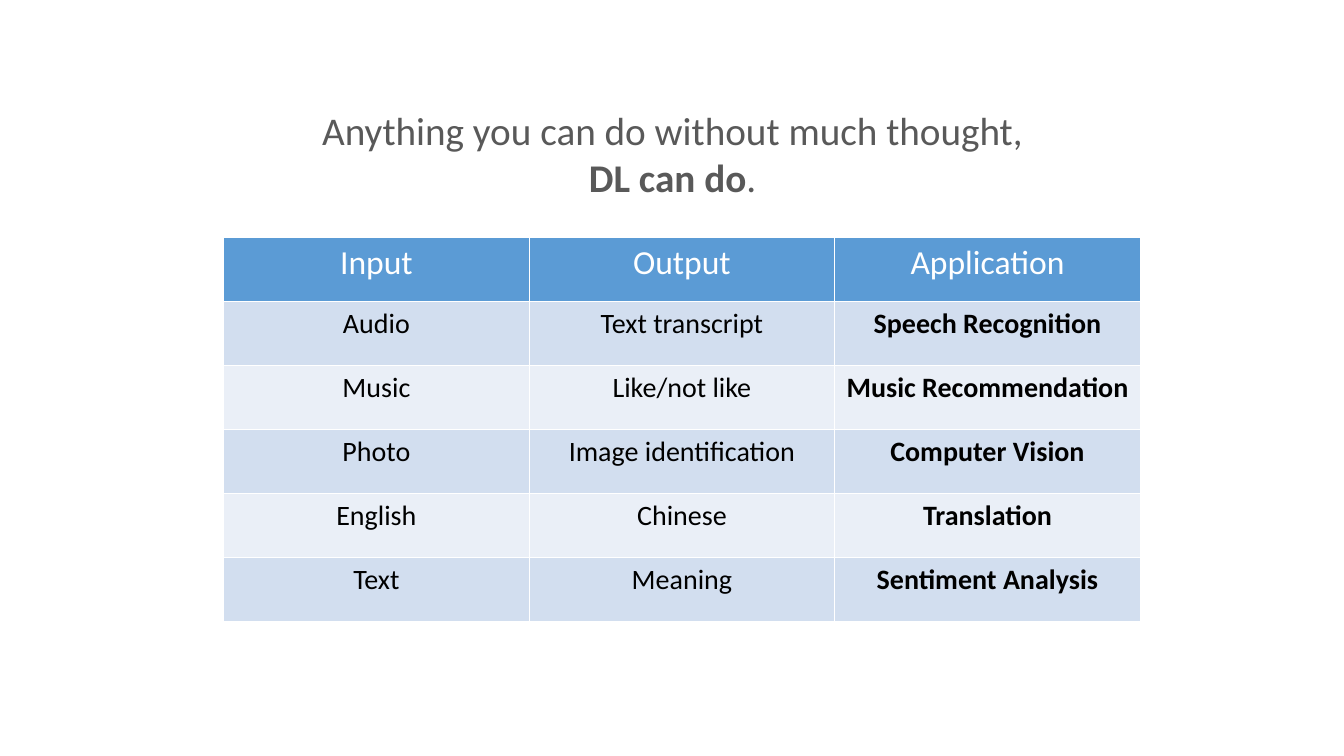
from lxml import etree
from pptx import Presentation
from pptx.dml.color import RGBColor
from pptx.enum.text import MSO_ANCHOR, MSO_AUTO_SIZE, PP_ALIGN
from pptx.oxml.ns import qn
from pptx.util import Pt

PX = 9525
TOP = MSO_ANCHOR.TOP
NO_FIT = MSO_AUTO_SIZE.NONE
MID = PP_ALIGN.CENTER
FONT = "Calibri"
WHITE, BLACK, GREY = "FFFFFF", "000000", "595959"
BLUE, BANDS = "5B9BD5", ("D2DEEF", "EAEFF7")

TITLE = [
    [("Anything you can do without much thought,", False)],
    [("DL can do", True), (".", False)],
]
ROWS = [
    ("Input", "Output", "Application"),
    ("Audio", "Text transcript", "Speech Recognition"),
    ("Music", "Like/not like", "Music Recommendation"),
    ("Photo", "Image identification", "Computer Vision"),
    ("English", "Chinese", "Translation"),
    ("Text", "Meaning", "Sentiment Analysis"),
]


def px(*nums):
    return [n * PX for n in nums]


def tint(code):
    return RGBColor.from_string(code)


def add_run(para, text, size, color, bold):
    para.alignment = MID
    run = para.add_run()
    run.text = text
    font = run.font
    font.name, font.size, font.bold = FONT, Pt(size), bold
    font.color.rgb = tint(color)


def edge(cell, color, width):
    """Draw a line on all four sides of a cell."""
    props = cell._tc.get_or_add_tcPr()
    for i, side in enumerate(("a:lnL", "a:lnR", "a:lnT", "a:lnB")):
        line = etree.Element(qn(side), w=str(Pt(width)))
        fill = etree.SubElement(line, qn("a:solidFill"))
        etree.SubElement(fill, qn("a:srgbClr"), val=color)
        props.insert(i, line)


def add_title(slide, x, y, w, h):
    title = slide.shapes.title
    title.left, title.top, title.width, title.height = px(x, y, w, h)
    frame = title.text_frame
    frame.word_wrap = False
    frame.auto_size = NO_FIT
    frame.vertical_anchor = TOP
    for i, runs in enumerate(TITLE):
        para = frame.add_paragraph() if i else frame.paragraphs[0]
        for text, bold in runs:
            add_run(para, text, 28, GREY, bold)


def add_grid(slide, x, y, w, h):
    shape = slide.shapes.add_table(len(ROWS), len(ROWS[0]), *px(x, y, w, h))
    table = shape.table
    for r, row in enumerate(ROWS):
        head = r == 0
        back = BLUE if head else BANDS[(r - 1) % 2]
        size, color = (24, WHITE) if head else (20, BLACK)
        for c, text in enumerate(row):
            cell = table.cell(r, c)
            cell.fill.solid()
            cell.fill.fore_color.rgb = tint(back)
            edge(cell, WHITE, 1)
            bold = not head and c == len(row) - 1
            add_run(cell.text_frame.paragraphs[0], text, size, color, bold)


def main():
    deck = Presentation()
    deck.slide_width, deck.slide_height = px(1280, 720)
    slide = deck.slides.add_slide(deck.slide_layouts[5])
    add_title(slide, 293, 96, 695, 100)
    add_grid(slide, 213, 226, 873, 366)
    deck.save("out.pptx")


if __name__ == "__main__":
    main()
